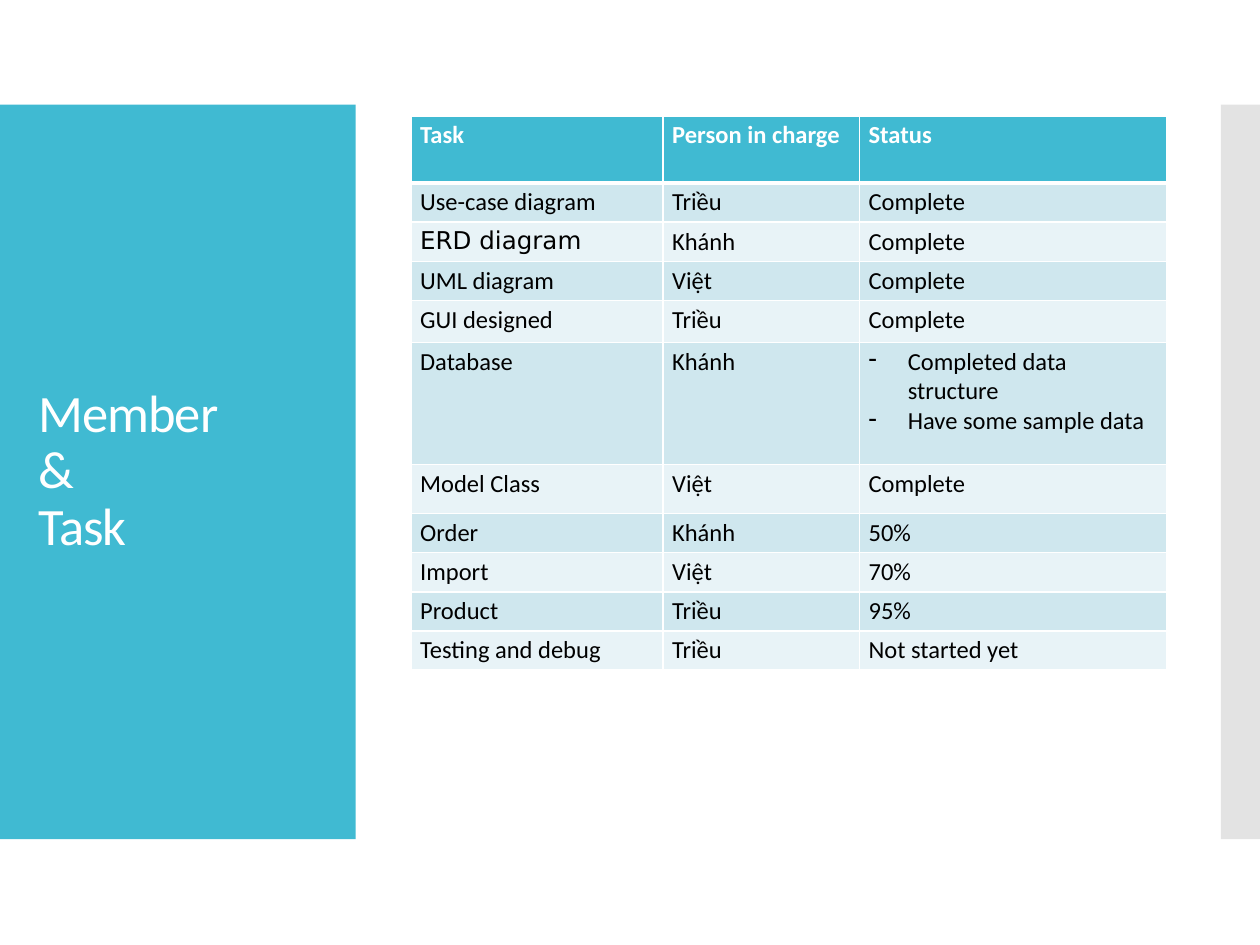
from dataclasses import dataclass

from lxml.etree import SubElement
from pptx import Presentation
from pptx.dml.color import RGBColor
from pptx.enum.shapes import MSO_SHAPE
from pptx.enum.text import MSO_ANCHOR
from pptx.oxml.ns import qn
from pptx.util import Cm, Pt

TITLE = "Member\n&\nTask"
HEADINGS = ("Task", "Person in charge", "Status")
TASKS = [
    ("Use-case diagram", "Triều", "Complete"),
    ("ERD diagram", "Khánh", "Complete"),
    ("UML diagram", "Việt", "Complete"),
    ("GUI designed", "Triều", "Complete"),
    ("Database", "Khánh", ("Completed data structure", "Have some sample data")),
    ("Model Class", "Việt", "Complete"),
    ("Order", "Khánh", "50%"),
    ("Import", "Việt", "70%"),
    ("Product", "Triều", "95%"),
    ("Testing and debug", "Triều", "Not started yet"),
]
COLUMN_WIDTHS = (5.08, 3.96, 6.2)
HEADER_HEIGHT = 1.35
ROW_HEIGHT = 0.79
TALL_ROWS = {"GUI designed": 0.84, "Database": 2.46, "Model Class": 0.99}
PANELS_TOP, PANELS_HEIGHT = 2.11, 14.81


@dataclass(frozen=True)
class Theme:
    font: str = "Calibri"
    font_by_text: tuple = (("ERD diagram", "DejaVu Sans"),)
    title_size: int = 30
    table_size: int = 14
    accent: str = "40BAD2"
    side: str = "C8C8C8"
    light: str = "FFFFFF"
    dark: str = "000000"
    bands: tuple = ("CFE7EE", "E8F3F7")


THEME = Theme()


def paint(fill, color):
    fill.solid()
    fill.fore_color.rgb = RGBColor.from_string(color)


def style(paragraph, size, color, bold=False):
    font = paragraph.font
    font.name = dict(THEME.font_by_text).get(paragraph.text, THEME.font)
    font.size, font.bold = Pt(size), bold
    font.color.rgb = RGBColor.from_string(color)


def add_panel(page, left, width, color, opacity=100):
    panel = page.shapes.add_shape(
        MSO_SHAPE.RECTANGLE, Cm(left), Cm(PANELS_TOP), Cm(width), Cm(PANELS_HEIGHT)
    )
    panel.shadow.inherit = False
    panel.line.fill.background()
    paint(panel.fill, color)
    if opacity < 100:
        tint = next(panel._element.spPr.iter(qn("a:srgbClr")))
        SubElement(tint, qn("a:alpha"), val=str(opacity * 1000))


def add_title(page):
    box = page.shapes.add_textbox(Cm(0.53), Cm(3.12), Cm(6.15), Cm(12.78))
    frame = box.text_frame
    frame.word_wrap = True
    frame.vertical_anchor = MSO_ANCHOR.MIDDLE
    para = frame.paragraphs[0]
    para.text = TITLE
    para.line_spacing = 0.9
    style(para, THEME.title_size, THEME.light)
    for span in para.runs:
        span._r.get_or_add_rPr().set("spc", "-60")


def add_borders(cell, top, bottom):
    properties = cell._tc.get_or_add_tcPr()
    for side, width in (("L", 1), ("R", 1), ("T", top), ("B", bottom)):
        line = SubElement(properties, qn(f"a:ln{side}"), w=str(Pt(width)))
        SubElement(SubElement(line, qn("a:solidFill")), qn("a:srgbClr"), val=THEME.light)


def add_dash(para):
    properties = para._p.get_or_add_pPr()
    properties.set("marL", str(Cm(0.79)))
    properties.set("indent", str(Cm(-0.79)))
    SubElement(properties, qn("a:buChar"), char="-")


def fill_cell(cell, content, row):
    header = row == 0
    add_borders(cell, 3 if row == 1 else 1, 3 if header else 1)
    paint(cell.fill, THEME.accent if header else THEME.bands[(row - 1) % 2])
    cell.margin_left = cell.margin_right = Cm(0.18)
    cell.margin_top = cell.margin_bottom = Cm(0.09)
    listed = isinstance(content, tuple)
    cell.text_frame.text = "\n".join(content) if listed else content
    for para in cell.text_frame.paragraphs:
        if listed:
            add_dash(para)
        style(para, THEME.table_size, THEME.light if header else THEME.dark, header)


def add_task_table(page):
    rows = [HEADINGS, *TASKS]
    heights = [HEADER_HEIGHT] + [TALL_ROWS.get(task[0], ROW_HEIGHT) for task in TASKS]
    table = page.shapes.add_table(
        len(rows), len(HEADINGS), Cm(8.29), Cm(2.34),
        Cm(sum(COLUMN_WIDTHS)), Cm(sum(heights)),
    ).table
    for column, width in zip(table.columns, COLUMN_WIDTHS):
        column.width = Cm(width)
    for index, (height, contents) in enumerate(zip(heights, rows)):
        table.rows[index].height = Cm(height)
        for cell, content in zip(table.rows[index].cells, contents):
            fill_cell(cell, content, index)


def main():
    """Build the slide of members and their tasks."""
    deck = Presentation()
    deck.slide_width, deck.slide_height = Cm(25.4), Cm(19.05)
    page = deck.slides.add_slide(deck.slide_layouts[6])
    add_panel(page, 0, 7.17, THEME.accent)
    add_panel(page, 24.61, 0.79, THEME.side, opacity=50)
    add_title(page)
    add_task_table(page)
    deck.save("out.pptx")


if __name__ == "__main__":
    main()
